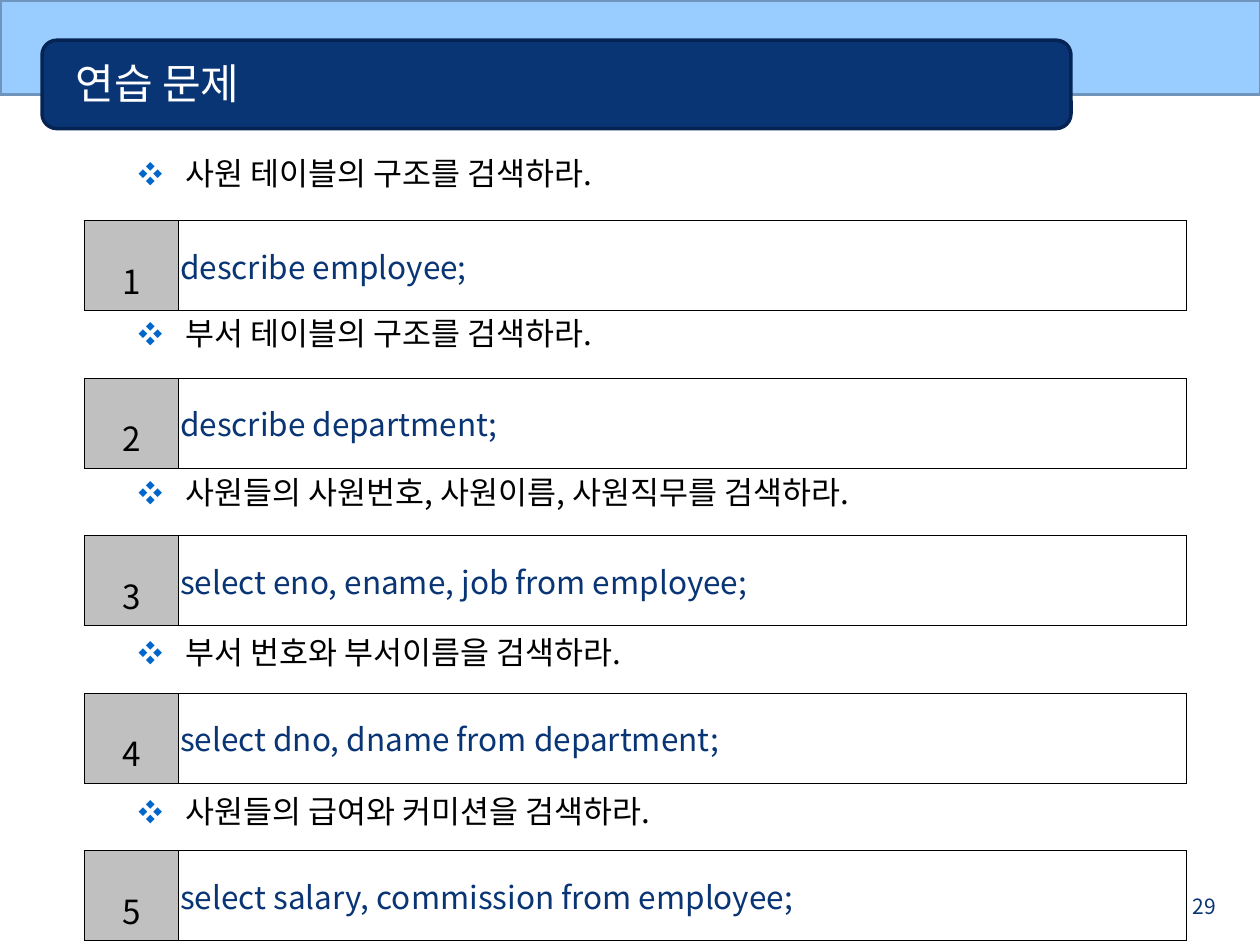
"""Build the practice slide: five questions, each with its SQL answer."""
from dataclasses import dataclass

from lxml.etree import SubElement as Sub
from pptx import Presentation
from pptx.dml.color import RGBColor as RGB
from pptx.enum.shapes import MSO_SHAPE as Geo
from pptx.enum.text import MSO_ANCHOR as Anchor, MSO_AUTO_SIZE as Fit, PP_ALIGN as Align
from pptx.oxml.ns import qn
from pptx.util import Pt

TITLE = "연습 문제"
PAGE = "29"
TASKS = [
    ("사원 테이블의 구조를 검색하라.", "describe employee;"),
    ("부서 테이블의 구조를 검색하라.", "describe department;"),
    ("사원들의 사원번호, 사원이름, 사원직무를 검색하라.", "select eno, ename, job from employee;"),
    ("부서 번호와 부서이름을 검색하라.", "select dno, dname from department;"),
    ("사원들의 급여와 커미션을 검색하라.", "select salary, commission from employee;"),
]


@dataclass(frozen=True)
class Theme:
    """Colours, font and type sizes."""
    font: str = "Noto Sans CJK KR"
    sky: str = "99CCFF"
    edge: str = "6F95BC"
    navy: str = "093575"
    dark: str = "052454"
    mark: str = "0066CC"
    gray: str = "C0C0C0"
    ink: str = "000000"
    white: str = "FFFFFF"
    head: int = 24
    body: int = 18
    num: int = 19
    foot: int = 12
    gap: float = 69.6


T = Theme()
SCALE = 6350


def px(*vals):
    """Turn px into EMU."""
    return [v * SCALE for v in vals]


def rgb(code):
    """Read a hex colour."""
    return RGB.from_string(code)


def write(par, text, size, color, kern=True):
    """Add one styled run to a paragraph."""
    run = par.add_run()
    run.text = text
    run.font.size = Pt(size)
    run.font.color.rgb = rgb(color)
    run.font.name = T.font
    Sub(run.font._element, qn("a:ea"), typeface=T.font)
    if not kern:
        run.font._element.set("kern", "0")


def panel(slide, geo, box, fill, line):
    """Draw a filled and outlined shape."""
    shape = slide.shapes.add_shape(geo, *px(*box))
    shape.shadow.inherit = False
    shape.fill.solid()
    shape.fill.fore_color.rgb = rgb(fill)
    shape.line.color.rgb = rgb(line)
    shape.line.width = Pt(2)


def place(slide, shape, box):
    """Put a placeholder on top at the given box and return its frame."""
    shape.left, shape.top, shape.width, shape.height = px(*box)
    slide.shapes._spTree.append(shape._element)
    frame = shape.text_frame
    frame.auto_size = Fit.NONE
    frame.word_wrap = True
    return frame


def bullet(par):
    """Give a paragraph its hanging diamond mark."""
    prop = par._p.get_or_add_pPr()
    indent, = px(54)
    prop.set("marL", str(indent))
    prop.set("indent", str(-indent))
    Sub(Sub(prop, qn("a:buClr")), qn("a:srgbClr"), val=T.mark)
    Sub(prop, qn("a:buSzPct"), val="78000")
    Sub(prop, qn("a:buFont"), typeface=T.font)
    Sub(prop, qn("a:buChar"), char="❖")


def border(cell):
    """Outline a cell with hairlines."""
    prop = cell._tc.get_or_add_tcPr()
    for i, side in enumerate(("lnL", "lnR", "lnT", "lnB")):
        line = prop.makeelement(qn("a:" + side), {"w": "1397"})
        Sub(Sub(line, qn("a:solidFill")), qn("a:srgbClr"), val=T.ink)
        prop.insert(i, line)


def answer(slide, i, code):
    """Add the numbered answer table for task i."""
    left, top, width, height = px(96, 252 + 180 * i, 1260, 88)
    table = slide.shapes.add_table(1, 2, left, top, width, height).table
    table.first_row = table.horz_banding = False
    for col, wide in zip(table.columns, px(108, 1152)):
        col.width = wide
    num, text = table.rows[0].cells
    num.fill.solid()
    num.fill.fore_color.rgb = rgb(T.gray)
    text.fill.background()
    for cell in (num, text):
        cell.vertical_anchor = Anchor.MIDDLE
        cell.margin_left, cell.margin_right = px(2, 2)
        border(cell)
    par = num.text_frame.paragraphs[0]
    par.alignment = Align.CENTER
    par.line_spacing = 1.6
    write(par, str(i + 1), T.num, T.ink)
    write(text.text_frame.paragraphs[0], code, T.body, T.navy)


def main():
    """Build and save the slide."""
    deck = Presentation()
    deck.slide_width, deck.slide_height = px(1440, 1080)
    slide = deck.slides.add_slide(deck.slide_layouts[1])
    panel(slide, Geo.RECTANGLE, (0, 0, 1441, 108), T.sky, T.edge)
    panel(slide, Geo.ROUNDED_RECTANGLE, (48, 46, 1176, 101), T.navy, T.dark)

    foot = slide.shapes.add_textbox(*px(1332, 1014, 72, 30)).text_frame
    foot.word_wrap = True
    foot.paragraphs[0].alignment = Align.RIGHT
    write(foot.paragraphs[0], PAGE, T.foot, T.navy)

    head = place(slide, slide.shapes.title, (72, 50, 1140, 89))
    head.vertical_anchor = Anchor.MIDDLE
    head.paragraphs[0].alignment = Align.LEFT
    write(head.paragraphs[0], TITLE, T.head, T.white, kern=False)

    body = place(slide, slide.placeholders[1], (144, 170, 1296, 884))
    body.margin_top, = px(6)
    for i, (task, code) in enumerate(TASKS):
        par = body.add_paragraph() if i else body.paragraphs[0]
        par.space_before = Pt(T.gap if i else 0)
        bullet(par)
        write(par, task, T.body, T.ink, kern=False)
        answer(slide, i, code)
    deck.save("out.pptx")


if __name__ == "__main__":
    main()
